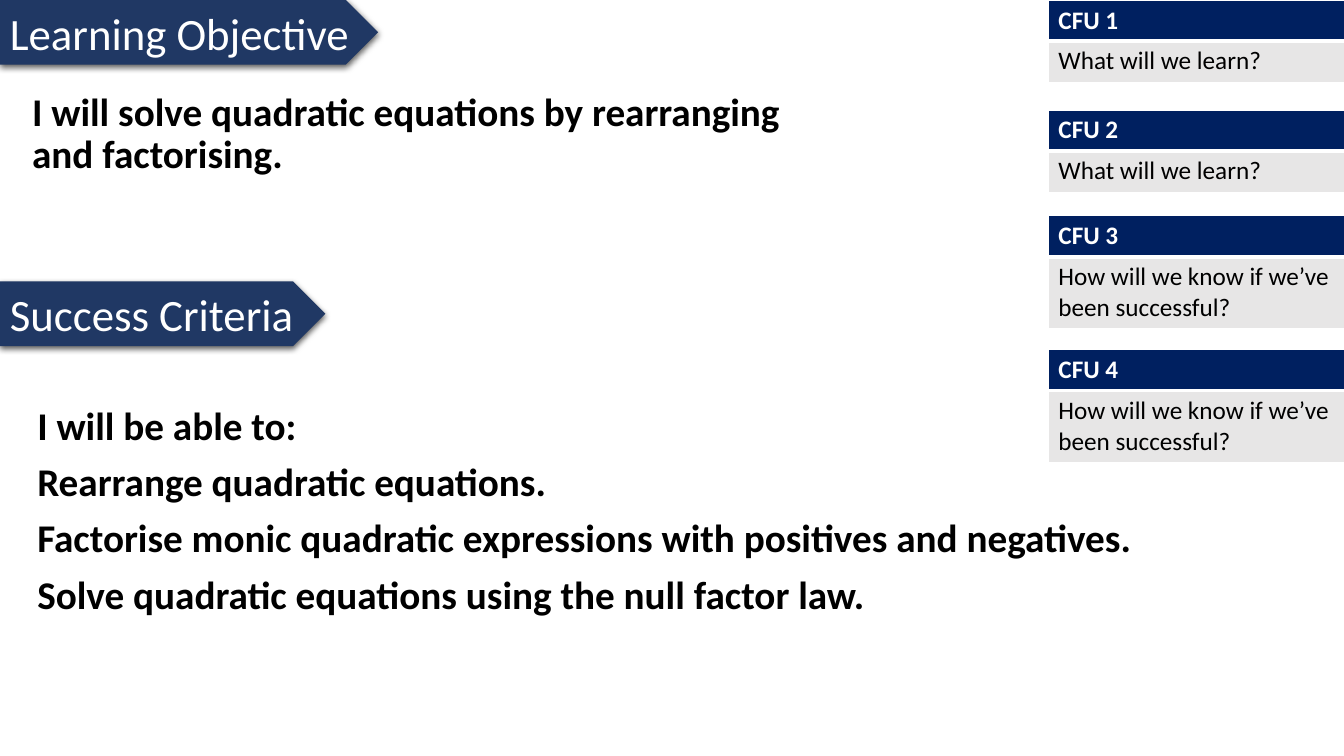
from lxml.etree import SubElement
from pptx import Presentation
from pptx.dml.color import RGBColor
from pptx.enum.shapes import MSO_SHAPE
from pptx.enum.text import MSO_ANCHOR, PP_ALIGN
from pptx.oxml import parse_xml
from pptx.oxml.ns import nsdecls, qn
from pptx.util import Cm, Pt

NAVY, DEEP, GREY = "203864", "002060", "E7E6E6"
WHITE, BLACK = "FFFFFF", "000000"


def paint(fill, color):
    fill.solid()
    fill.fore_color.rgb = RGBColor.from_string(color)


def style(para, size, color, bold=False):
    para.alignment = PP_ALIGN.LEFT
    for run in para.runs:
        run.font.name = "Calibri"
        run.font.size = Pt(size)
        run.font.bold = bold
        paint(run.font.fill, color)


def shade(shape):
    shape.shadow.inherit = False
    glow = shape._element.spPr.find(qn("a:effectLst"))
    glow.append(parse_xml(
        f'<a:outerShdw {nsdecls("a")} blurRad="{Pt(4.5)}" dist="{Pt(1.5)}" '
        'dir="5400000" algn="t" rotWithShape="0">'
        '<a:srgbClr val="000000"><a:alpha val="63000"/></a:srgbClr></a:outerShdw>'))


def add_tag(slide, top, width, text):
    tag = slide.shapes.add_shape(
        MSO_SHAPE.PENTAGON, Cm(0), Cm(top), Cm(width), Cm(1.63))
    paint(tag.fill, NAVY)
    tag.line.fill.background()
    shade(tag)
    frame = tag.text_frame
    frame.text = text
    frame.word_wrap = True
    frame.margin_right = Cm(0)
    frame.vertical_anchor = MSO_ANCHOR.MIDDLE
    style(frame.paragraphs[0], 32, WHITE)


def add_text(slide, left, top, width, height, lines):
    box = slide.shapes.add_textbox(Cm(left), Cm(top), Cm(width), Cm(height))
    frame = box.text_frame
    frame.word_wrap = True
    frame.text = "\n".join(lines)
    for place, para in enumerate(frame.paragraphs):
        para.line_spacing = 0.9
        para.space_before = Pt(10 if place else 0)
        style(para, 28, BLACK, True)


def fill_cell(cell, text, back, color, bold, sides):
    cell.text = text
    style(cell.text_frame.paragraphs[0], 18, color, bold)
    props = cell._tc.get_or_add_tcPr()
    for side, size in sides.items():
        edge = SubElement(props, qn(f"a:ln{side}"), w=str(Pt(size)))
        solid = SubElement(edge, qn("a:solidFill"))
        SubElement(solid, qn("a:srgbClr"), val=WHITE)
    paint(cell.fill, back)


def add_card(slide, top, title, text, depth):
    frame = slide.shapes.add_table(
        2, 1, Cm(26.42), Cm(top), Cm(7.46), Cm(1 + depth))
    table = frame.table
    table.rows[0].height = Cm(1)
    table.rows[1].height = Cm(depth)
    fill_cell(table.cell(0, 0), title, DEEP, WHITE, True,
              {"L": 1, "R": 1, "T": 1, "B": 3})
    fill_cell(table.cell(1, 0), text, GREY, BLACK, False,
              {"L": 1, "R": 1, "T": 3, "B": 1})


def main():
    deck = Presentation()
    deck.slide_width, deck.slide_height = Cm(33.87), Cm(19.05)
    slide = deck.slides.add_slide(deck.slide_layouts[6])
    add_tag(slide, 0, 9.53, "Learning Objective")
    add_tag(slide, 7.09, 8.2, "Success Criteria")
    learn = ("What will we learn?", 1.05)
    know = ("How will we know if we’ve been successful?", 1.8)
    cards = [(0, learn), (2.77, learn), (5.44, know), (8.81, know)]
    for count, (top, (text, depth)) in enumerate(cards, 1):
        add_card(slide, top, f"CFU {count}", text, depth)
    add_text(slide, 0.56, 2.21, 19.89, 6.35, [
        "I will solve quadratic equations by rearranging and factorising."])
    add_text(slide, 0.69, 10.11, 28.65, 6.93, [
        "I will be able to:",
        "Rearrange quadratic equations.",
        "Factorise monic quadratic expressions with positives and negatives.",
        "Solve quadratic equations using the null factor law."])
    deck.save("out.pptx")


if __name__ == "__main__":
    main()
